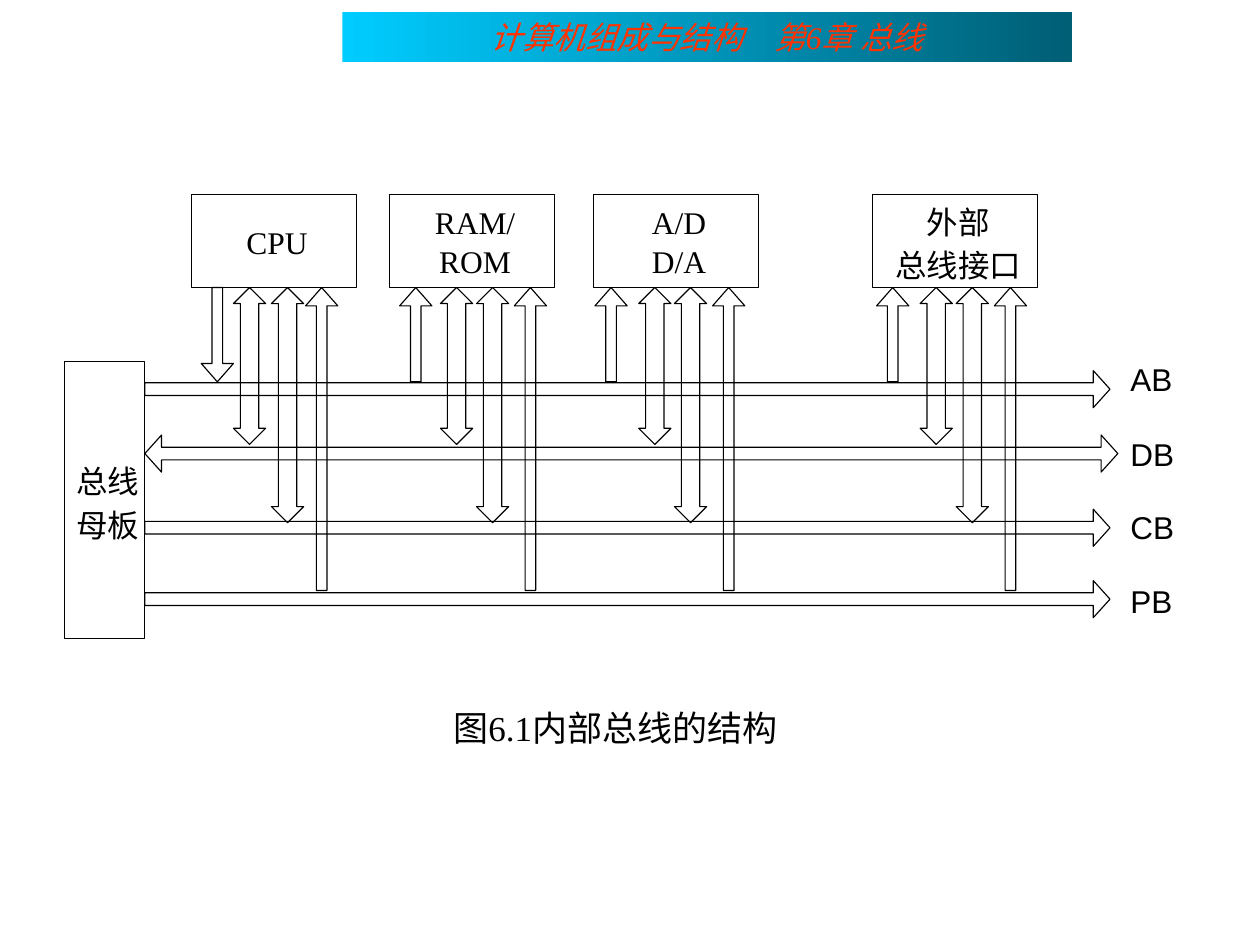
from lxml import etree
from pptx import Presentation
from pptx.dml.color import RGBColor
from pptx.enum.shapes import MSO_SHAPE
from pptx.enum.text import MSO_ANCHOR, MSO_AUTO_SIZE, PP_ALIGN
from pptx.oxml.ns import qn
from pptx.util import Pt

RECTANGLE = MSO_SHAPE.RECTANGLE
UP, DOWN, UP_DOWN = MSO_SHAPE.UP_ARROW, MSO_SHAPE.DOWN_ARROW, MSO_SHAPE.UP_DOWN_ARROW
RIGHT, LEFT_RIGHT = MSO_SHAPE.RIGHT_ARROW, MSO_SHAPE.LEFT_RIGHT_ARROW
LEFT, CENTER = PP_ALIGN.LEFT, PP_ALIGN.CENTER
TOP, MIDDLE = MSO_ANCHOR.TOP, MSO_ANCHOR.MIDDLE
NO_AUTOFIT = MSO_AUTO_SIZE.NONE

COLORS = {"ink": "000000", "paper": "FFFFFF", "heading": "FF3300",
          "banner_light": "00CCFF", "banner_dark": "005E75"}
LATIN, SANS, CHINESE = "Times New Roman", "Arial", "Noto Sans CJK SC"

MODULE_TOP, MODULE_WIDTH, MODULE_HEIGHT = 111, 94.3, 53.3
MODULE_BOTTOM = MODULE_TOP + MODULE_HEIGHT
BOARD_LEFT, BOARD_RIGHT = 36.8, 82.8
ADDRESS_END, DATA_END, CONTROL_END, POWER_END = 218.2, 254, 298.7, 337.4

BUSES = [
    ("AB", RIGHT, 222.4, 634.3, 205.9),
    ("DB", LEFT_RIGHT, 259.2, 638.8, 248.4),
    ("CB", RIGHT, 301.6, 634.3, 290.2),
    ("PB", RIGHT, 342.4, 634.3, 332.6),
]
MODULES = [
    ("CPU", LATIN, 22.5, 109.3, (124.2, 142.6, 164.3, 183.8)),
    ("RAM/\nROM", LATIN, 22.5, 222.5, (237.6, 260.9, 281.5, 303.1)),
    ("A/D\nD/A", LATIN, 22.5, 339.1, (349.2, 374.2, 394.6, 416.4)),
    ("外部\n总线接口", CHINESE, 24.8, 498.7, (510.1, 535, 555.6, 577.4)),
]


def color(name):
    """Return the palette colour with this name."""
    return RGBColor.from_string(COLORS[name])


def write_text(frame, text, *, size=18, font=LATIN, ink="ink", italic=False,
               align=LEFT, anchor=TOP, insets=(0, 0, 0, 0), wrap=False, leading=None):
    """Fill a text frame with one paragraph per line of text."""
    frame.auto_size = NO_AUTOFIT
    frame.word_wrap = wrap
    frame.vertical_anchor = anchor
    frame.margin_left, frame.margin_top, frame.margin_right, frame.margin_bottom = map(Pt, insets)
    for index, line in enumerate(text.split("\n")):
        paragraph = frame.add_paragraph() if index else frame.paragraphs[0]
        paragraph.alignment = align
        if leading:
            paragraph.line_spacing = Pt(leading)
        run = paragraph.add_run()
        run.text = line
        run.font.size, run.font.name, run.font.italic = Pt(size), font, italic
        run.font.color.rgb = color(ink)
        etree.SubElement(run._r.get_or_add_rPr(), qn("a:ea"), typeface=CHINESE)


class Diagram:
    """Holds the outline style and the current slide."""

    def __init__(self, slide, line_width=0.65):
        """Keep the slide and the line width."""
        self.slide = slide
        self.line_width = line_width

    def banner(self, text, left, top, width, height):
        """Turn the title placeholder into a gradient banner."""
        title = self.slide.shapes.title
        title.left, title.top, title.width, title.height = map(Pt, (left, top, width, height))
        title.fill.gradient()
        title.fill.gradient_angle = 0
        for stop, name in zip(title.fill.gradient_stops, ("banner_light", "banner_dark")):
            stop.color.rgb = color(name)
            stop.position = 0 if name == "banner_light" else 1
        write_text(title.text_frame, text, ink="heading", italic=True,
                   align=CENTER, anchor=MIDDLE, wrap=True)

    def outline(self, preset, left, top, width, height):
        """Add an unfilled preset shape."""
        shape = self.slide.shapes.add_shape(preset, *map(Pt, (left, top, width, height)))
        shape.shadow.inherit = False
        shape.fill.background()
        shape.line.color.rgb = color("ink")
        shape.line.width = Pt(self.line_width)
        return shape

    def block(self, text, left, top, width, height, font, leading):
        """Add an outlined block with centred text."""
        block = self.outline(RECTANGLE, left, top, width, height)
        write_text(block.text_frame, text, font=font, align=CENTER, anchor=MIDDLE,
                   insets=(3.6, 0, 0, 0), leading=leading)

    def bus(self, preset, middle, end, breadth=21.2):
        """Add a horizontal bus arrow starting at the board."""
        arrow = self.outline(preset, BOARD_RIGHT, middle - breadth / 2, end - BOARD_RIGHT, breadth)
        arrow.adjustments[0], arrow.adjustments[1] = 0.34, 0.45

    def link(self, preset, middle, end, breadth=18.4):
        """Add a vertical arrow between a module and a bus."""
        arrow = self.outline(preset, middle - breadth / 2, MODULE_BOTTOM, breadth, end - MODULE_BOTTOM)
        arrow.adjustments[0], arrow.adjustments[1] = 0.33, 0.57

    def label(self, text, left, top, width=25, height=21.6):
        """Add a plain bus name."""
        label = self.slide.shapes.add_textbox(*map(Pt, (left, top, width, height)))
        write_text(label.text_frame, text, font=SANS)

    def caption(self, text, left, top, width, height):
        """Add the figure caption on a white ground."""
        caption = self.outline(RECTANGLE, left, top, width, height)
        caption.fill.solid()
        caption.fill.fore_color.rgb = color("paper")
        caption.line.color.rgb = color("paper")
        caption.line.width = Pt(0.75)
        write_text(caption.text_frame, text, size=20, insets=(7.2, 3.6, 7.2, 3.6), wrap=True)


def main():
    """Build the bus structure slide."""
    deck = Presentation()
    deck.slide_width, deck.slide_height = Pt(720), Pt(540)
    diagram = Diagram(deck.slides.add_slide(deck.slide_layouts[5]))
    diagram.banner("计算机组成与结构　第6章 总线", 195.6, 6.8, 416.9, 28.7)
    diagram.block("总线\n母板", BOARD_LEFT, 206.5, BOARD_RIGHT - BOARD_LEFT, 158.4, CHINESE, 24.8)
    for name, preset, middle, end, label_top in BUSES:
        diagram.bus(preset, middle, end)
        diagram.label(name, 646, label_top)
    for name, font, leading, left, (address, data, control, power) in MODULES:
        diagram.block(name, left, MODULE_TOP, MODULE_WIDTH, MODULE_HEIGHT, font, leading)
        diagram.link(DOWN if name == "CPU" else UP, address, ADDRESS_END)
        diagram.link(UP_DOWN, data, DATA_END)
        diagram.link(UP_DOWN, control, CONTROL_END)
        diagram.link(UP, power, POWER_END)
    diagram.caption("图6.1内部总线的结构", 252, 400.3, 249.8, 21.6)
    deck.save("out.pptx")


if __name__ == "__main__":
    main()
